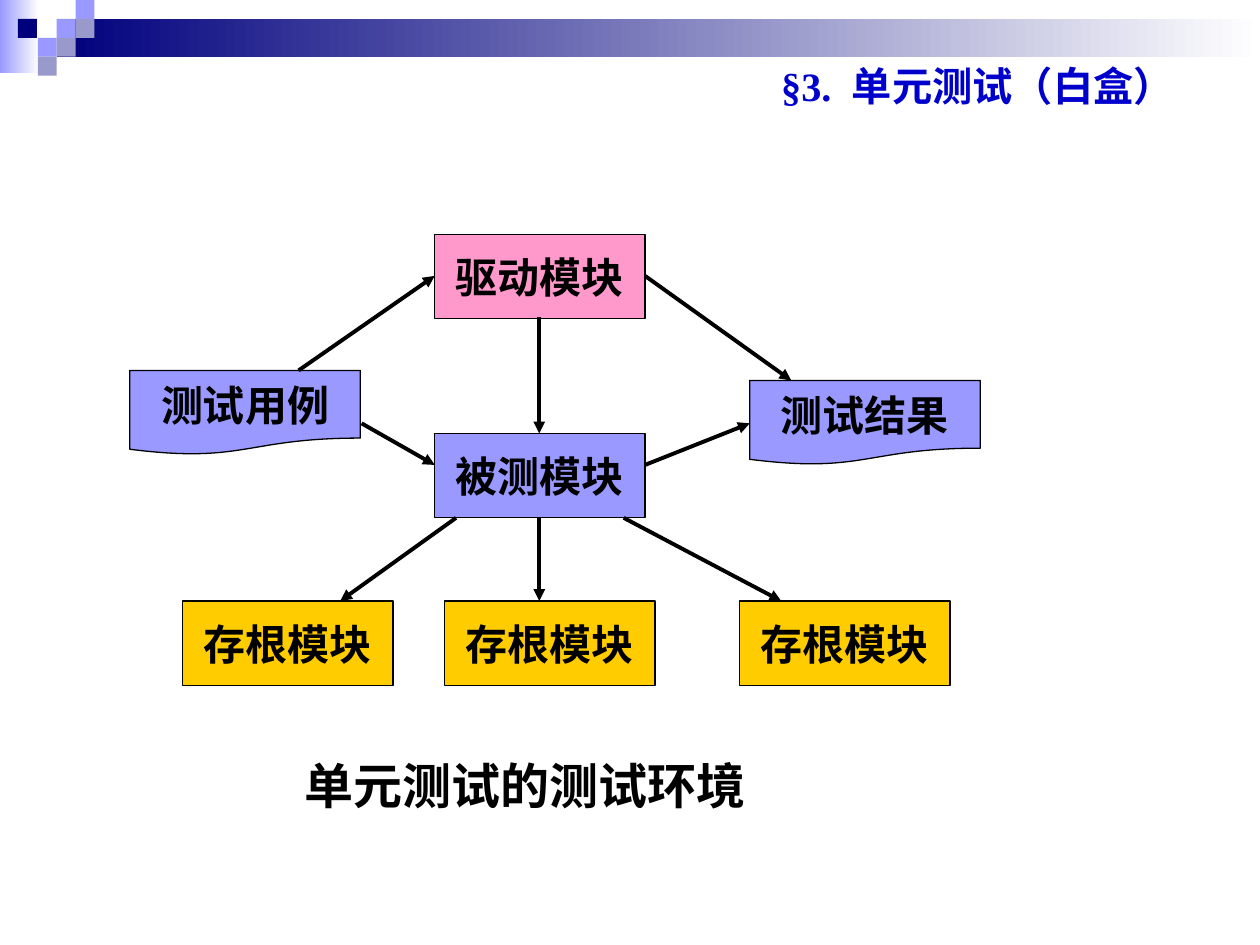
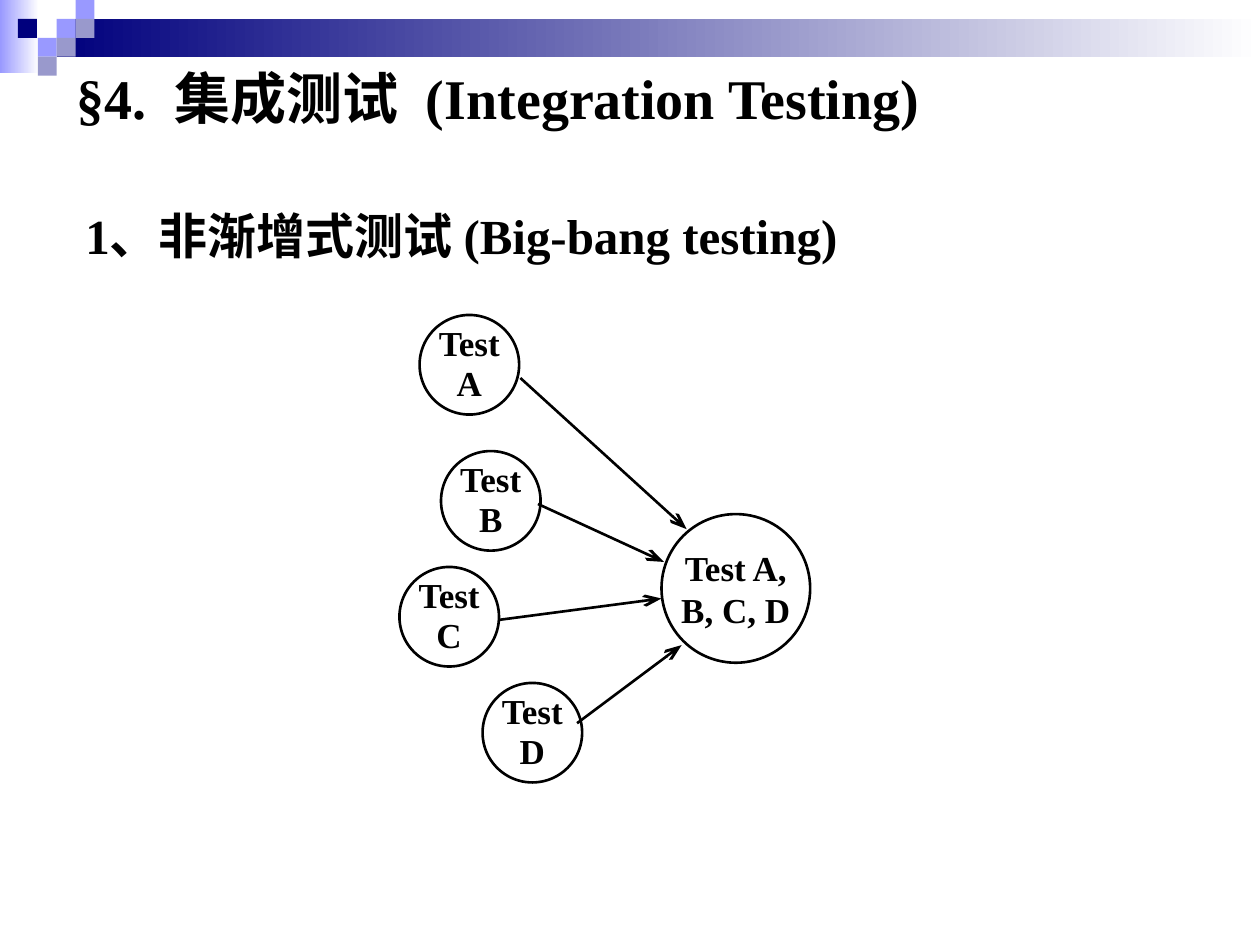
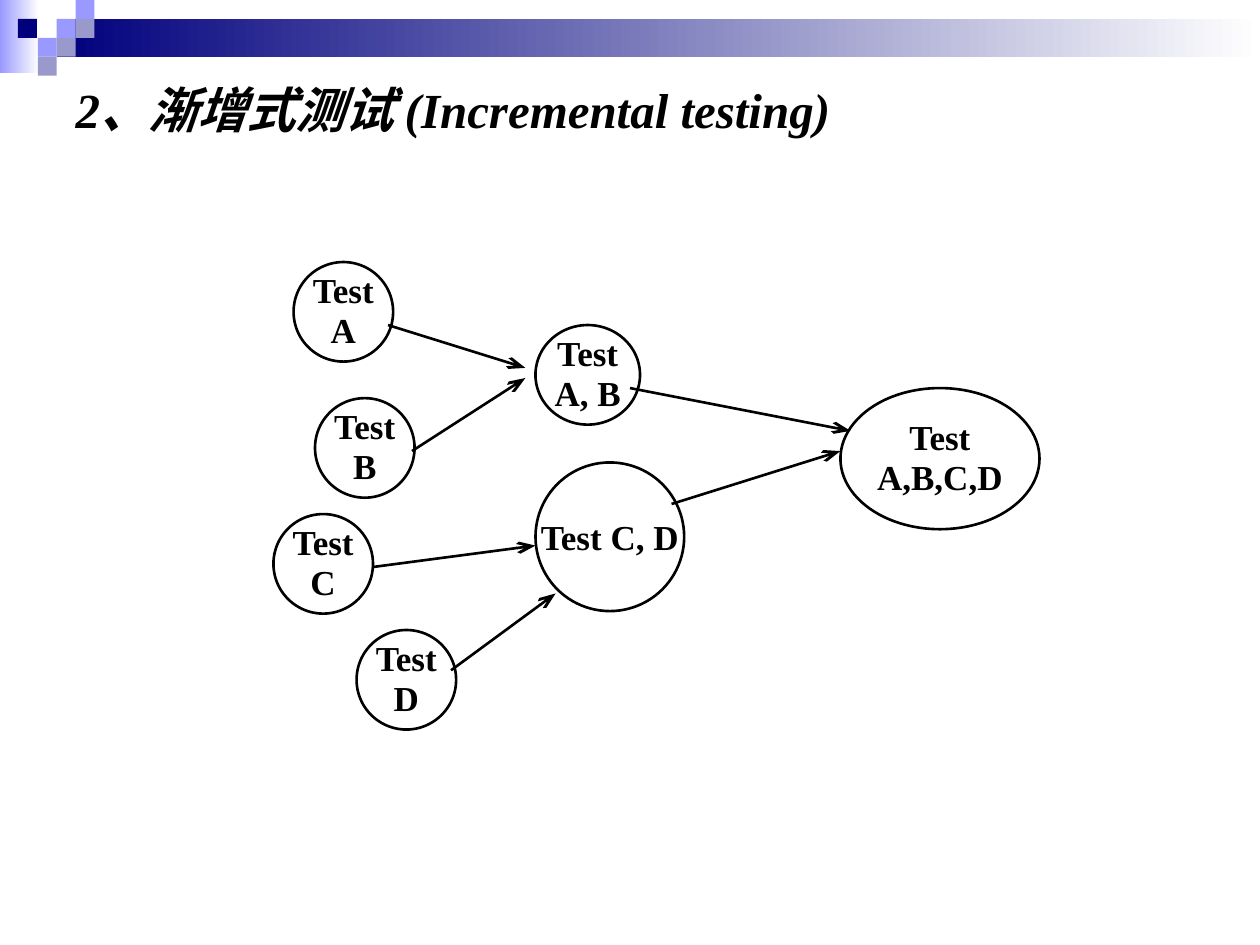
"""Build three slides on unit testing and integration testing."""
from lxml.etree import SubElement
from pptx import Presentation
from pptx.dml.color import RGBColor
from pptx.enum.shapes import MSO_CONNECTOR, MSO_SHAPE
from pptx.enum.text import MSO_ANCHOR, MSO_AUTO_SIZE, PP_ALIGN
from pptx.oxml.ns import qn
from pptx.util import Inches, Pt

FONT = "Times New Roman"
BLACK, NAVY, BLUE = "000000", "00007D", "0000CC"
LILAC, GREY, PINK, GOLD, WHITE = "9999FF", "9999CC", "FF99CC", "FFCC00", "FFFFFF"

FADES = [((0, 0, 0.31, 0.58), LILAC), ((0.45, 0.15, 9.55, 0.3), NAVY)]
TILE = 0.15
TILES = [(3, 1, LILAC), (4, 0, LILAC), (4, 1, GREY), (2, 2, LILAC),
         (0.95, 1, NAVY), (3, 2, GREY), (2, 3, GREY)]

UNIT_TITLE = ["§3.", "单元测试（白盒）"]
BANG_TITLE = ["§4.", "集成测试", "(Integration Testing)"]
STEP_TITLE = ["2、渐增式测试 (Incremental testing)"]
BANG_HEAD = ["1、非渐增式测试 (Big-bang testing)"]
UNIT_NOTE = ["单元测试的测试环境"]

BOX, SHEET = (1.67, 0.67), (1.83, 0.67)
MODULES = [("驱动模块", 3.45, 1.86, PINK), ("被测模块", 3.45, 3.44, LILAC),
           ("存根模块", 1.45, 4.77, GOLD), ("存根模块", 3.53, 4.77, GOLD),
           ("存根模块", 5.87, 4.77, GOLD)]
SHEETS = [("测试用例", 1.03, 2.94, LILAC), ("测试结果", 5.95, 3.02, LILAC)]
UNIT_LINKS = [(4.28, 2.52, 4.28, 3.44), (4.28, 4.11, 4.28, 4.77),
              (3.62, 4.11, 2.7, 4.77), (4.95, 4.11, 6.2, 4.77),
              (2.87, 3.36, 3.45, 3.69), (2.37, 2.94, 3.45, 2.19),
              (5.12, 2.19, 6.28, 3.02), (5.12, 3.69, 5.95, 3.36)]

SMALL, LARGE = 0.79, 1.18
TESTS = [("A", 1.16, 0), ("B", 1.33, 1.08), ("C", 1, 2), ("D", 1.66, 2.92)]
BANG_AT, STEP_AT = (2.17, 2.5), (1.17, 2.08)
BANG_SUMS = [(["Test A,", "B, C, D"], (5.25, 4.08, LARGE, LARGE), 1)]
BANG_LINKS = [(4.13, 3, 5.45, 4.2), (4.27, 4, 5.27, 4.46),
              (3.96, 4.92, 5.25, 4.75), (4.58, 5.74, 5.41, 5.12)]
STEP_SUMS = [(["Test C, D"], (4.25, 3.67, LARGE, LARGE), 1),
             (["Test", "A, B"], (4.25, 2.58, 0.83, SMALL), 0.95),
             (["Test", "A,B,C,D"], (6.67, 3.08, 1.58, 1.12), 0.95)]
STEP_LINKS = [(3.08, 2.58, 4.17, 2.92), (3.27, 3.58, 4.17, 3),
              (2.96, 4.5, 4.25, 4.33), (3.58, 5.32, 4.41, 4.71),
              (5.33, 4, 6.67, 3.58), (5, 3.08, 6.75, 3.42)]


def paint(color, tone):
    color.rgb = RGBColor.from_string(tone)


def inch(box):
    return [Inches(n) for n in box]


def add_run(para, text, size, tone=BLACK, slant=False):
    run = para.add_run()
    run.text = text
    font = run.font
    font.name, font.size, font.bold, font.italic = FONT, Pt(size), True, slant
    paint(font.color, tone)
    return run


def fill_line(frame, parts, size, tone=BLACK, side=PP_ALIGN.LEFT, slant=False):
    frame.word_wrap = True
    para = frame.paragraphs[0]
    para.alignment = side
    for i, part in enumerate(parts):
        if i:
            gap = add_run(para, " ", size, tone)
            gap.font.element.set("spc", str(size * 25)) if hasattr(
                gap.font, "element") else gap._r.rPr.set("spc", str(size * 25))
        add_run(para, part, size, tone, slant)


def add_title(slide, parts, box, size, **look):
    title = slide.shapes.title
    title.left, title.top, title.width, title.height = inch(box)
    frame = title.text_frame
    frame.auto_size = MSO_AUTO_SIZE.NONE
    frame.vertical_anchor = MSO_ANCHOR.MIDDLE
    fill_line(frame, parts, size, **look)


def add_text(slide, parts, box, size):
    fill_line(slide.shapes.add_textbox(*inch(box)).text_frame, parts, size)


def add_node(slide, kind, box, lines, size, tone=None, width=0.75, space=1):
    node = slide.shapes.add_shape(kind, *inch(box))
    node.shadow.inherit = False
    if tone:
        node.fill.solid()
        paint(node.fill.fore_color, tone)
    else:
        node.fill.background()
    node.line.width = Pt(width)
    paint(node.line.color, BLACK)
    frame = node.text_frame
    frame.word_wrap = False
    frame.vertical_anchor = MSO_ANCHOR.MIDDLE
    for i, line in enumerate(lines):
        para = frame.add_paragraph() if i else frame.paragraphs[0]
        para.alignment = PP_ALIGN.CENTER
        para.line_spacing = space
        add_run(para, line, size)


def add_links(slide, links, width, **head):
    for ends in links:
        link = slide.shapes.add_connector(MSO_CONNECTOR.STRAIGHT, *inch(ends))
        link.line.width = Pt(width)
        paint(link.line.color, BLACK)
        props = link.element.spPr
        SubElement(props.find(qn("a:ln")), qn("a:tailEnd"), **head)
        SubElement(props, qn("a:effectLst"))


def add_band(deck, slide):
    tiles = [((x * TILE, y * TILE, TILE, TILE), tone) for x, y, tone in TILES]
    tree = deck.slide_master.shapes.element
    for i, (box, tone) in enumerate(FADES + tiles):
        part = slide.shapes.add_shape(MSO_SHAPE.RECTANGLE, *inch(box))
        part.shadow.inherit = False
        part.line.fill.background()
        if i < len(FADES):
            part.fill.gradient()
            part.fill.gradient_angle = 0
            for stop, shade, spot in zip(part.fill.gradient_stops, (tone, WHITE), (0, 1)):
                paint(stop.color, shade)
                stop.position = spot
        else:
            part.fill.solid()
            paint(part.fill.fore_color, tone)
        part.element.nvSpPr.cNvPr.set("id", str(100 + i))
        tree.insert(2 + i, part.element)


def add_tests(slide, start, sums, links):
    left, top = start
    tests = [(["Test", name], (left + x, top + y, SMALL, SMALL), 0.95)
             for name, x, y in TESTS]
    for lines, box, space in tests + sums:
        add_node(slide, MSO_SHAPE.OVAL, box, lines, 20, width=1.5, space=space)
    add_links(slide, links, 1.5, type="arrow", w="med", len="lg")


def main():
    deck = Presentation()
    deck.slide_width, deck.slide_height = Inches(10), Inches(7.5)
    unit, bang, step = [deck.slides.add_slide(deck.slide_layouts[5]) for _ in range(3)]
    add_band(deck, unit)

    add_title(unit, UNIT_TITLE, (0.67, 0.36, 8.75, 0.63), 23,
              tone=BLUE, side=PP_ALIGN.RIGHT)
    for kind, size, items in [(MSO_SHAPE.RECTANGLE, BOX, MODULES),
                              (MSO_SHAPE.FLOWCHART_DOCUMENT, SHEET, SHEETS)]:
        for name, x, y, tone in items:
            add_node(unit, kind, (x, y, *size), [name], 24, tone)
    add_links(unit, UNIT_LINKS, 2.25, type="triangle")
    add_text(unit, UNIT_NOTE, (2.32, 5.95, 5.01, 0.57), 28)

    add_title(bang, BANG_TITLE, (0.51, 0.52, 7.92, 0.5), 32)
    add_text(bang, BANG_HEAD, (0.58, 1.58, 6.75, 0.57), 28)
    add_tests(bang, BANG_AT, BANG_SUMS, BANG_LINKS)

    add_title(step, STEP_TITLE, (0.5, 0.58, 7.58, 0.57), 28, slant=True)
    add_tests(step, STEP_AT, STEP_SUMS, STEP_LINKS)
    deck.save("out.pptx")


if __name__ == "__main__":
    main()
